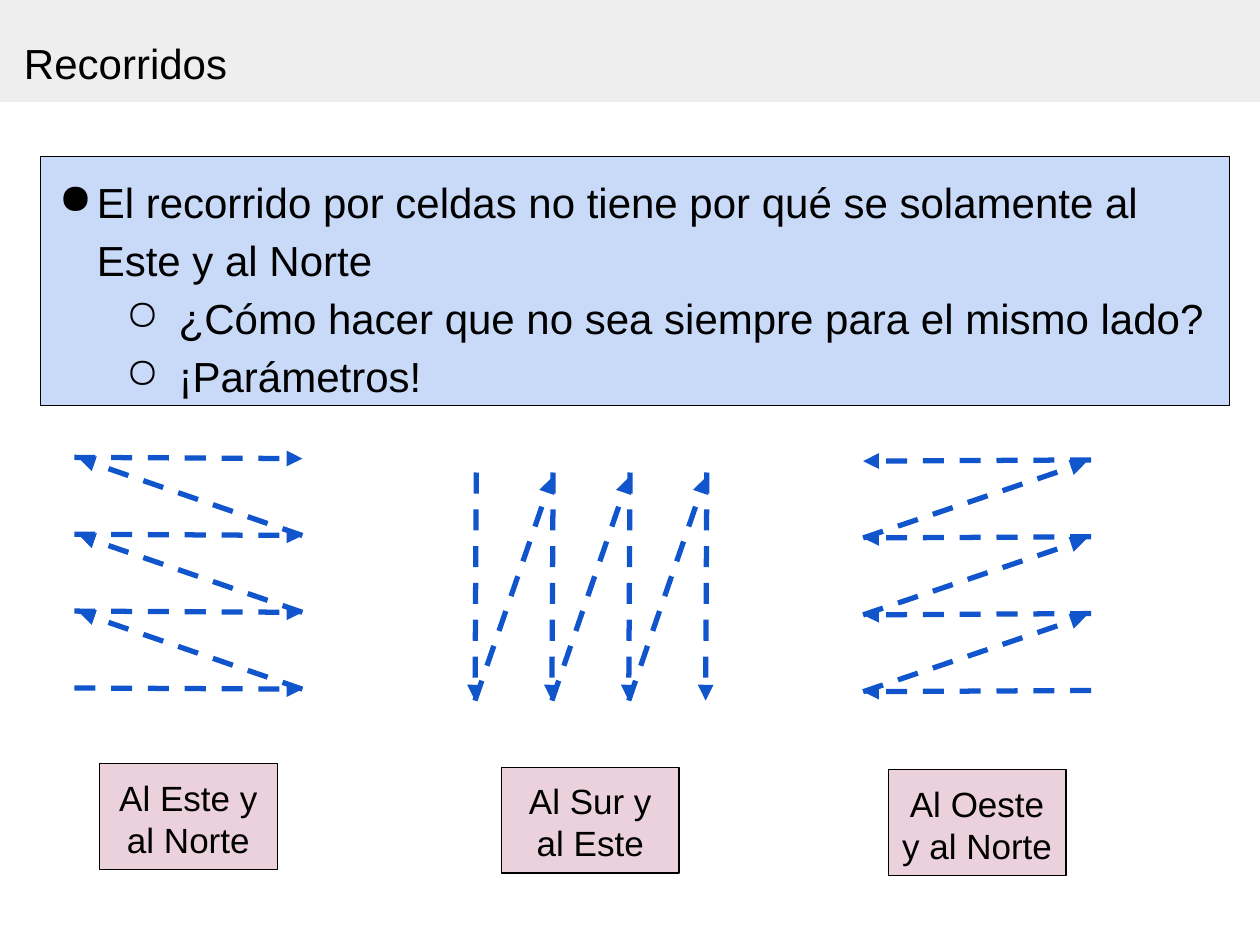
from lxml.etree import SubElement
from pptx import Presentation
from pptx.dml.color import RGBColor
from pptx.enum.dml import MSO_LINE
from pptx.enum.shapes import MSO_CONNECTOR, MSO_SHAPE
from pptx.enum.text import MSO_ANCHOR, PP_ALIGN
from pptx.oxml.ns import qn
from pptx.util import Inches, Pt

COLORS = {
    "banner": "EEEEEE",
    "statement": "C9DAF8",
    "label": "EAD1DC",
    "route": "1155CC",
    "ink": "000000",
}
FRAME_FORMAT = {
    "word_wrap": True,
    "margin_left": Inches(0.1),
    "margin_right": Inches(0.1),
    "margin_top": Inches(0.1),
    "margin_bottom": Inches(0.1),
}
BULLETS = [
    ("●", 0.35, -0.3),
    ("○", 1, -0.42),
]
STATEMENTS = [
    (0, "El recorrido por celdas no tiene por qué se solamente al Este y al Norte"),
    (1, "¿Cómo hacer que no sea siempre para el mismo lado?"),
    (1, "¡Parámetros!"),
]
ROUTES = [
    {"start": (0.59, 5.46), "stroke": (1.81, 0.01), "step": (0, -0.61), "inset": (0.04, 0.01)},
    {"start": (3.78, 3.75), "stroke": (-0.01, 1.81), "step": (0.61, 0), "inset": (-0.01, 0.04)},
    {"start": (8.66, 5.48), "stroke": (-1.81, 0.01), "step": (0, -0.61), "inset": (-0.04, 0.02)},
]
LABELS = [
    (0.79, 6.06, "Al Este y al Norte"),
    (3.98, 6.09, "Al Sur y al Este"),
    (7.05, 6.11, "Al Oeste y al Norte"),
]
STROKE_COUNT = 4


def color(name):
    return RGBColor.from_string(COLORS[name])


def apply_format(target, values):
    for name, value in values.items():
        setattr(target, name, value)


def format_frame(frame, anchor):
    apply_format(frame, {**FRAME_FORMAT, "vertical_anchor": anchor})


def write(paragraph, text, size, alignment=PP_ALIGN.LEFT):
    paragraph.alignment = alignment
    run = paragraph.add_run()
    run.text = text
    apply_format(run.font, {"name": "Arial", "size": Pt(size)})
    run.font.color.rgb = color("ink")


def add_box(slide, left, top, width, height, fill, outlined=True):
    box = slide.shapes.add_shape(
        MSO_SHAPE.RECTANGLE, Inches(left), Inches(top), Inches(width), Inches(height)
    )
    box.shadow.inherit = False
    box.fill.solid()
    box.fill.fore_color.rgb = color(fill)
    if outlined:
        box.line.color.rgb = color("ink")
        box.line.width = Pt(0.75)
    else:
        box.line.fill.background()
    format_frame(box.text_frame, MSO_ANCHOR.TOP)
    return box


def add_title(slide, text):
    banner = add_box(slide, 0, 0, 10, 0.81, "banner", outlined=False)
    title = slide.shapes.title
    banner._element.addnext(title._element)
    apply_format(title, {
        "left": Inches(0.09),
        "top": Inches(0.06),
        "width": Inches(7.41),
        "height": Inches(0.74),
    })
    format_frame(title.text_frame, MSO_ANCHOR.BOTTOM)
    write(title.text_frame.paragraphs[0], text, 24)


def add_bullet(paragraph, level):
    character, margin, indent = BULLETS[level]
    properties = paragraph._p.get_or_add_pPr()
    properties.set("marL", str(Inches(margin)))
    properties.set("indent", str(Inches(indent)))
    bullet_color = SubElement(properties, qn("a:buClr"))
    SubElement(bullet_color, qn("a:srgbClr"), val=COLORS["ink"])
    SubElement(properties, qn("a:buChar"), char=character)


def add_statements(slide):
    frame = add_box(slide, 0.32, 1.24, 9.44, 1.98, "statement").text_frame
    for index, (level, text) in enumerate(STATEMENTS):
        paragraph = frame.add_paragraph() if index else frame.paragraphs[0]
        apply_format(paragraph, {"level": level, "line_spacing": 1.15})
        add_bullet(paragraph, level)
        write(paragraph, text, 24)


def add_arrow(slide, begin, end):
    points = [Inches(value) for value in (*begin, *end)]
    arrow = slide.shapes.add_connector(MSO_CONNECTOR.STRAIGHT, *points)
    arrow.line.color.rgb = color("route")
    apply_format(arrow.line, {"width": Pt(3), "dash_style": MSO_LINE.DASH})
    SubElement(arrow.line._get_or_add_ln(), qn("a:tailEnd"), type="triangle")
    SubElement(arrow._element.spPr, qn("a:effectLst"))


def shift(point, offset, times=1):
    return tuple(a + b * times for a, b in zip(point, offset))


def add_route(slide, start, stroke, step, inset):
    begins = [shift(start, step, index) for index in range(STROKE_COUNT)]
    ends = [shift(begin, stroke) for begin in begins]
    for begin, end in zip(begins, ends):
        add_arrow(slide, begin, end)
    for end, following in zip(ends, begins[1:]):
        add_arrow(slide, end, shift(following, inset))


def add_label(slide, left, top, text):
    label = add_box(slide, left, top, 1.41, 0.84, "label")
    write(label.text_frame.paragraphs[0], text, 20, PP_ALIGN.CENTER)


def main():
    presentation = Presentation()
    presentation.slide_width = Inches(10)
    presentation.slide_height = Inches(7.5)
    slide = presentation.slides.add_slide(presentation.slide_layouts[5])
    add_title(slide, "Recorridos")
    add_statements(slide)
    for route in ROUTES:
        add_route(slide, **route)
    for label in LABELS:
        add_label(slide, *label)
    presentation.save("out.pptx")


if __name__ == "__main__":
    main()
